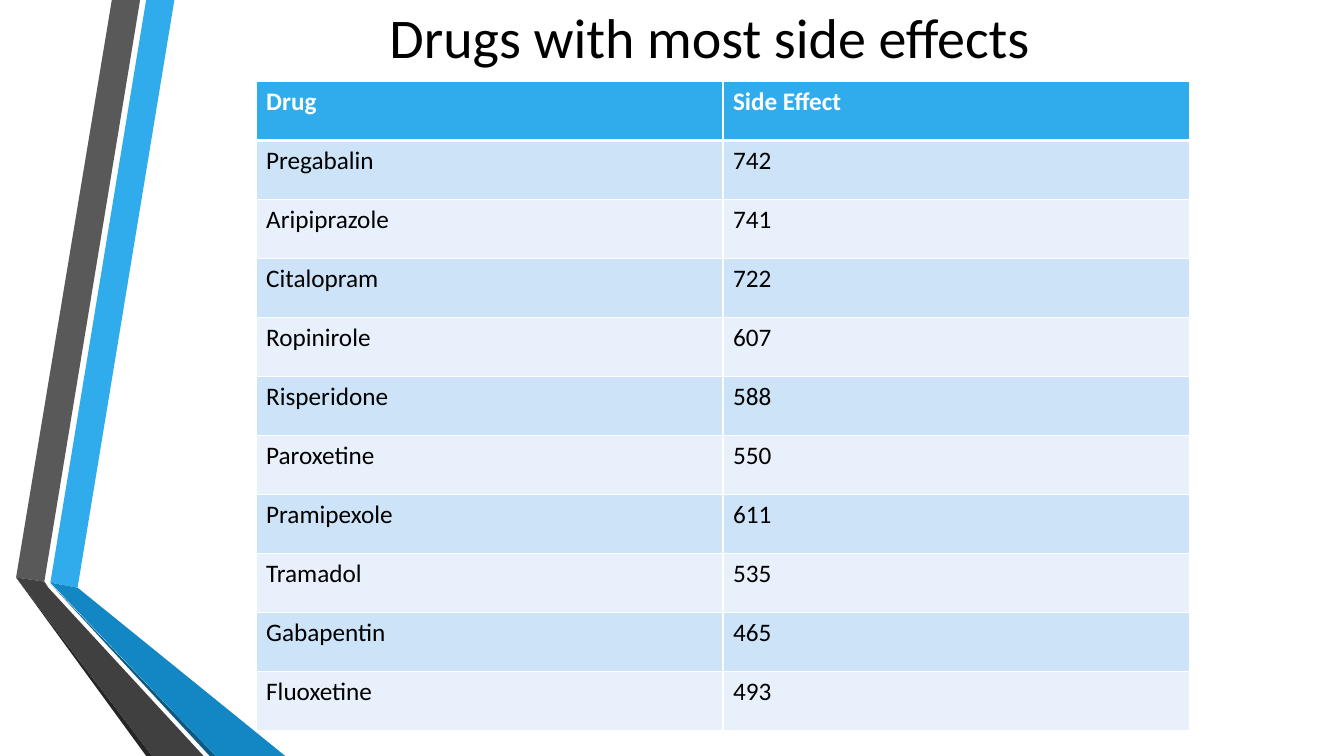
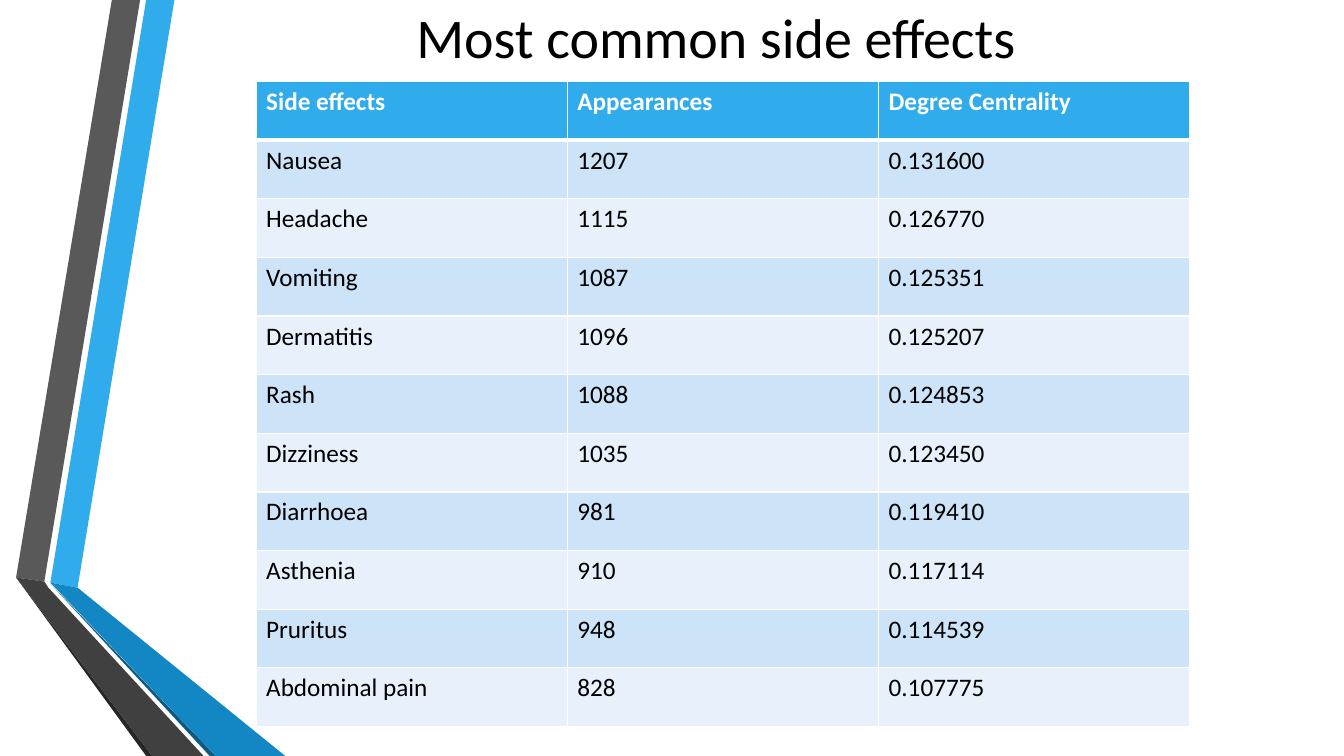
from lxml.etree import SubElement
from pptx import Presentation
from pptx.dml.color import RGBColor
from pptx.enum.text import MSO_ANCHOR, PP_ALIGN
from pptx.oxml.ns import qn
from pptx.util import Inches, Pt

# Shared look
FONT = "Calibri"
BLACK = RGBColor(0x00, 0x00, 0x00)
WHITE = RGBColor(0xFF, 0xFF, 0xFF)
SKY = RGBColor(0x30, 0xAC, 0xEC)
BLUE = RGBColor(0x12, 0x87, 0xC3)
NAVY = RGBColor(0x0C, 0x5A, 0x82)
GRAY = RGBColor(0x59, 0x59, 0x59)
CHARCOAL = RGBColor(0x40, 0x40, 0x40)
INK = RGBColor(0x26, 0x26, 0x26)
BANDS = [RGBColor(0xE8, 0xF1, 0xFB), RGBColor(0xCD, 0xE3, 0xF8)]

# Folded ribbons on the left edge: colour and corners in inches, back to front
RIBBONS = [
    (SKY, [(0.5, 5.78), (0.77, 5.83), (1.73, 0), (1.45, 0)]),
    (GRAY, [(1.39, 0), (1.11, 0), (0.16, 5.73), (0.44, 5.77)]),
    (INK, [(0.16, 5.73), (1.45, 7.5), (1.51, 7.5)]),
    (NAVY, [(0.5, 5.79), (2.08, 7.5), (2.14, 7.5)]),
    (BLUE, [(0.5, 5.78), (2.14, 7.5), (2.83, 7.5), (0.77, 5.83)]),
    (CHARCOAL, [(2.02, 7.5), (0.48, 5.83), (0.44, 5.77), (0.16, 5.73), (1.51, 7.5)]),
]

# Slide content: title, table height, rows with the header first
SLIDES = [
    ("Drugs with most side effects ", 6.44, [
        ("Drug", "Side Effect"),
        ("Pregabalin", "742"),
        ("Aripiprazole", "741"),
        ("Citalopram", "722"),
        ("Ropinirole", "607"),
        ("Risperidone", "588"),
        ("Paroxetine", "550"),
        ("Pramipexole", "611"),
        ("Tramadol", "535"),
        ("Gabapentin", "465"),
        ("Fluoxetine", "493"),
    ]),
    ("Most common side effects", 6.4, [
        ("Side effects", "Appearances", "Degree Centrality"),
        ("Nausea", "1207", "0.131600"),
        ("Headache", "1115", "0.126770"),
        ("Vomiting", "1087", "0.125351"),
        ("Dermatitis", "1096", "0.125207"),
        ("Rash", "1088", "0.124853"),
        ("Dizziness", "1035", "0.123450"),
        ("Diarrhoea", "981", "0.119410"),
        ("Asthenia", "910", "0.117114"),
        ("Pruritus", "948", "0.114539"),
        ("Abdominal pain", "828", "0.107775"),
    ]),
]


def add_span(para, text, size, color, bold=False):
    span = para.add_run()
    span.text = text
    span.font.name = FONT
    span.font.size = Pt(size)
    span.font.bold = bold
    span.font.color.rgb = color


def add_border(cell, side, width):
    properties = cell._tc.get_or_add_tcPr()
    line = SubElement(properties, qn(f"a:ln{side}"), w=str(Pt(width)))
    fill = SubElement(line, qn("a:solidFill"))
    SubElement(fill, qn("a:srgbClr"), val=str(WHITE))


deck = Presentation()
deck.slide_width = Inches(13.33)
deck.slide_height = Inches(7.5)

for title, table_height, rows in SLIDES:
    page = deck.slides.add_slide(deck.slide_layouts[6])

    # Ribbons
    for color, corners in RIBBONS:
        points = [(Inches(x), Inches(y)) for x, y in corners]
        builder = page.shapes.build_freeform(*points[0])
        builder.add_line_segments(points[1:], close=True)
        ribbon = builder.convert_to_shape()
        ribbon.shadow.inherit = False
        ribbon.fill.solid()
        ribbon.fill.fore_color.rgb = color
        ribbon.line.fill.background()

    # Title
    box = page.shapes.add_textbox(Inches(1.62), 0, Inches(10.96), Inches(0.81))
    box.text_frame.word_wrap = True
    box.text_frame.vertical_anchor = MSO_ANCHOR.MIDDLE
    para = box.text_frame.paragraphs[0]
    para.alignment = PP_ALIGN.CENTER
    para.line_spacing = 0.9
    add_span(para, title, 40, BLACK)

    # Table
    table = page.shapes.add_table(
        len(rows), len(rows[0]),
        Inches(2.54), Inches(0.81), Inches(9.26), Inches(table_height),
    ).table
    for row_index, row in enumerate(rows):
        header = row_index == 0
        for column_index, text in enumerate(row):
            cell = table.cell(row_index, column_index)
            for side in "LRTB":
                thick = (header and side == "B") or (row_index == 1 and side == "T")
                add_border(cell, side, 3 if thick else 1)
            cell.fill.solid()
            cell.fill.fore_color.rgb = SKY if header else BANDS[row_index % 2]
            para = cell.text_frame.paragraphs[0]
            add_span(para, text, 18, WHITE if header else BLACK, bold=header)

deck.save("out.pptx")
